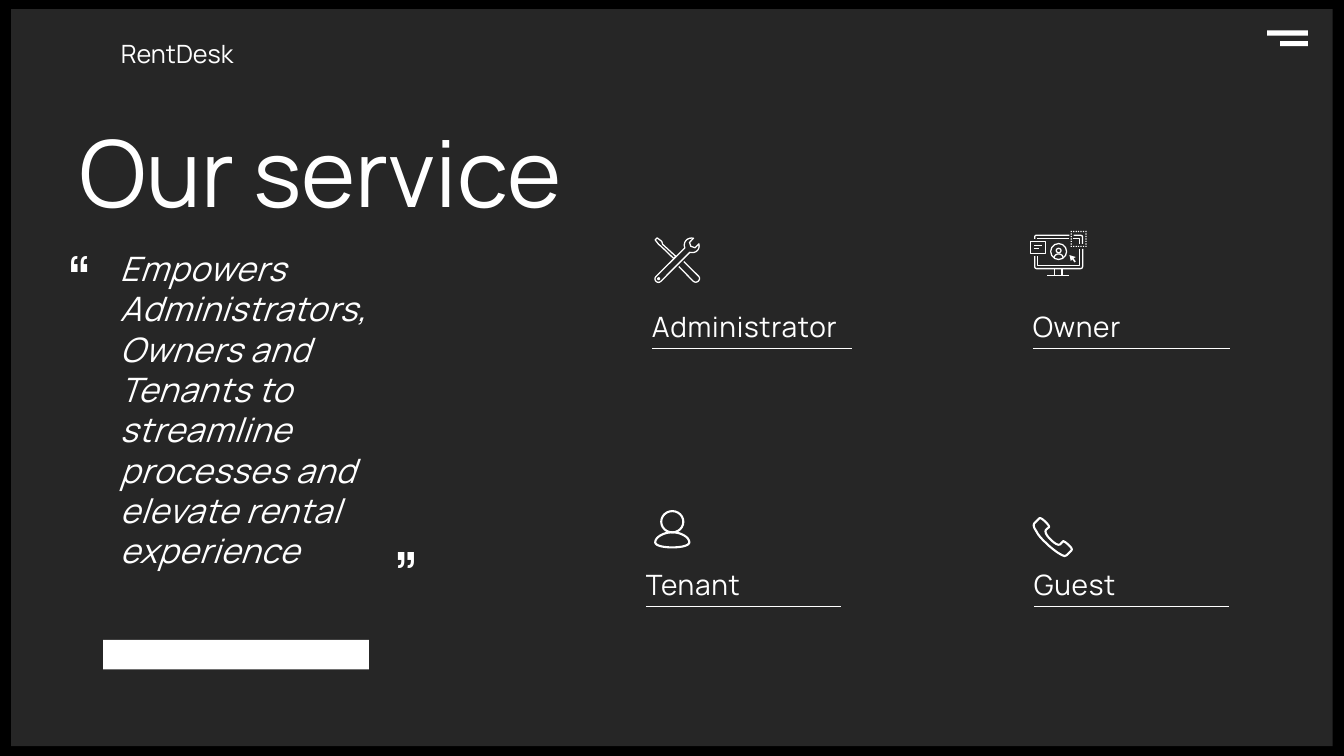
from dataclasses import dataclass

from lxml.etree import SubElement
from pptx import Presentation
from pptx.dml.color import RGBColor
from pptx.enum.shapes import MSO_CONNECTOR, MSO_SHAPE
from pptx.enum.text import MSO_ANCHOR, MSO_AUTO_SIZE, PP_ALIGN
from pptx.oxml.ns import qn
from pptx.util import Pt


@dataclass(frozen=True)
class Theme:
    font: str = "Manrope"
    black: RGBColor = RGBColor(0x00, 0x00, 0x00)
    panel: RGBColor = RGBColor(0x26, 0x26, 0x26)
    white: RGBColor = RGBColor(0xFF, 0xFF, 0xFF)
    title: int = 66
    quote_mark: int = 54
    quote: int = 24
    role: int = 20
    brand: int = 18
    thin: float = 0.5
    fine: float = 0.9
    bold: float = 1.5


theme = Theme()
RECT, OVAL = MSO_SHAPE.RECTANGLE, MSO_SHAPE.OVAL

presentation = Presentation()
presentation.slide_width, presentation.slide_height = Pt(960), Pt(540)
slide = presentation.slides.add_slide(presentation.slide_layouts[5])
slide.background.fill.solid()
slide.background.fill.fore_color.rgb = theme.black
shapes = slide.shapes


def write_text(shape, box, text, size, wrap=True, italic=False, spacing=0):
    """Place a text shape and fill it with one white run; spacing is in points."""
    shape.left, shape.top, shape.width, shape.height = map(Pt, box)
    frame = shape.text_frame
    frame.word_wrap = wrap
    frame.auto_size = MSO_AUTO_SIZE.SHAPE_TO_FIT_TEXT
    frame.vertical_anchor = MSO_ANCHOR.TOP
    paragraph = frame.paragraphs[0]
    paragraph.alignment = PP_ALIGN.LEFT
    run = paragraph.add_run()
    run.text = text
    run.font.name, run.font.size = theme.font, Pt(size)
    run.font.color.rgb = theme.white
    if italic:
        run.font.italic = True
    if spacing:
        run._r.get_or_add_rPr().set("spc", str(round(spacing * 100)))
    return paragraph


def draw_outline(start, steps, width, closed=False, filled=False):
    """Draw a white outline; a step is (x, y) or a cubic curve (x1, y1, x2, y2, x, y)."""
    points = [start]
    for step in steps:
        if len(step) == 2:
            points.append(step)
            continue
        origin = points[-1]
        for t in (n / 8 for n in range(1, 9)):
            points.append(tuple(
                (1 - t) ** 3 * origin[axis] + 3 * t * (1 - t) ** 2 * step[axis]
                + 3 * t ** 2 * (1 - t) * step[axis + 2] + t ** 3 * step[axis + 4]
                for axis in (0, 1)))
    builder = shapes.build_freeform(Pt(start[0]), Pt(start[1]))
    builder.add_line_segments([(Pt(x), Pt(y)) for x, y in points[1:]], close=closed)
    shape = builder.convert_to_shape()
    shape.shadow.inherit = False
    if filled:
        shape.fill.solid()
        shape.fill.fore_color.rgb = theme.white
        shape.line.fill.background()
    else:
        shape.fill.background()
        shape.line.color.rgb = theme.white
        shape.line.width = Pt(width)


# Filled blocks: panel, menu bars, accent bar, screwdriver hole, dotted square
blocks = [
    (RECT, (8, 6.5, 944, 526.5), theme.panel),
    (RECT, (905.2, 21.7, 29, 3.7), theme.white),
    (RECT, (914.4, 29.3, 19.8, 3.7), theme.white),
    (RECT, (73.6, 457, 190, 21.2), theme.white),
    (OVAL, (469.4, 198, 2.2, 2.2), theme.white),
]
blocks += [
    (RECT, (764.7 + 1.78 * column, 164.9 + 1.78 * row, 0.9, 0.9), theme.white)
    for row in range(7) for column in range(7)
    if row in (0, 6) or column in (0, 6)
]
for kind, box, color in blocks:
    shape = shapes.add_shape(kind, *map(Pt, box))
    shape.shadow.inherit = False
    shape.fill.solid()
    shape.fill.fore_color.rgb = color
    shape.line.fill.background()

# Outlined presets: monitor card, avatar ring and head, tenant head
for kind, box, width in [
    (RECT, (736.2, 172.4, 10.8, 8.7), theme.fine),
    (OVAL, (750.5, 174, 11.4, 11.4), theme.fine),
    (OVAL, (754.5, 177.4, 3.4, 3.2), theme.fine),
    (OVAL, (472.3, 365.1, 15.8, 15.2), theme.bold),
]:
    shape = shapes.add_shape(kind, *map(Pt, box))
    shape.shadow.inherit = False
    shape.fill.background()
    shape.line.color.rgb = theme.white
    shape.line.width = Pt(width)

# Administrator: wrench, screwdriver shaft and handle
draw_outline((494.6, 180.4), [
    (497.5, 180.4, 499.4, 178.3, 499.4, 175.7), (499.2, 174.2), (496.5, 177),
    (493.5, 176), (492.5, 173.2), (495.4, 170.2),
    (491, 169.2, 487.6, 173, 489.2, 177.1), (468.4, 197.7),
    (466.5, 200, 469.8, 203.2, 472, 201), (492.7, 180.3)], theme.fine, closed=True)
draw_outline((468, 171.4), [
    (469.4, 169.9), (472.7, 172.4), (473.4, 174.6), (482.8, 183.2), (481.3, 184.7),
    (472.3, 176), (470.5, 174.6)], theme.fine, closed=True)
draw_outline((488.5, 186.8), [
    (499.3, 197.6), (501, 200, 497.5, 203, 495.2, 200.9), (484.9, 190.4)], theme.fine)

# Owner: monitor frame, corner strokes, avatar shoulders and cursor
for start, steps in [
    ((739.1, 170.6), [(739.1, 169.2), (739.1, 168.6, 739.6, 168.1, 740.2, 168.1),
                      (763.9, 168.1)]),
    ((766.8, 168.1), [(771.8, 168.1), (772.6, 168.1, 773.3, 168.6, 773.3, 169.4),
                      (773.3, 174.2)]),
    ((739.1, 182.9), [(739.1, 190.4), (739.1, 191.2, 739.6, 191.9, 740.4, 191.9),
                      (771.8, 191.9), (772.6, 191.9, 773.3, 191.2, 773.3, 190.4),
                      (773.3, 177.8)]),
    ((741.2, 182.9), [(741.2, 189.7), (771.1, 189.7), (771.1, 177.8)]),
    ((766.8, 170.3), [(771.1, 170.3), (771.1, 174.2)]),
    ((753, 184.3), [(753, 180.4, 759.4, 180.4, 759.4, 184.3)]),
]:
    draw_outline(start, steps, theme.fine)
draw_outline((763.9, 182.2), [
    (768.4, 183.6), (766.8, 184.5), (768.4, 186.8), (767.5, 187.4), (765.8, 185.2),
    (764.9, 186.6)], theme.fine, closed=True, filled=True)

# Tenant: shoulders
draw_outline((480.2, 380.2), [
    (473.8, 380.2, 468, 383.8, 468, 387.4), (468, 389.5, 473, 391, 480.2, 391),
    (487.4, 391, 492.4, 389.5, 492.4, 387.4),
    (492.4, 383.8, 486.6, 380.2, 480.2, 380.2)], theme.bold, closed=True)

# Guest: telephone handset
draw_outline((742.6, 370.1), [
    (738.7, 374), (738, 375.5, 738.6, 377, 740.2, 379.4),
    (742, 383, 744.6, 385.4, 747.4, 388.1), (753, 393.5, 758.5, 397, 760.5, 397.2),
    (761.8, 396.7), (765.4, 393.1), (766, 392, 765, 391, 763.2, 389.2),
    (761.5, 387.6, 760, 386.6, 759.4, 386.6), (757.4, 388.8),
    (756, 390, 753, 388, 750.2, 385.2), (747.4, 382.4, 745.9, 379.6, 747.4, 378.2),
    (749.3, 376.6), (749.5, 375.5, 748, 374, 746.6, 372.6),
    (745, 371, 743.4, 370, 742.6, 370.1)], theme.bold, closed=True)

# Straight strokes: role underlines, then monitor details
roles = [
    ("Administrator", 458.6, 217.2, 179.3, 142.8),
    ("Owner", 730.6, 217.2, 114.5, 140.6),
    ("Tenant", 454.2, 401.9, 114.5, 139),
    ("Guest", 731.4, 401.9, 114.5, 139.4),
]
strokes = [(left + 7.2, top + 31.3, left + 7.2 + length, top + 31.3, theme.thin)
           for name, left, top, width, length in roles]
strokes += [
    (740.9, 170.3, 763.9, 170.3, theme.fine),
    (738.7, 175.3, 744.5, 175.3, theme.fine),
    (738.7, 177.5, 742.3, 177.5, theme.fine),
    (753.5, 192, 753.5, 196.9, theme.fine),
    (758.5, 192, 758.5, 196.9, theme.fine),
    (748.1, 196.9, 763.9, 196.9, theme.fine),
]
for *ends, width in strokes:
    line = shapes.add_connector(MSO_CONNECTOR.STRAIGHT, *map(Pt, ends))
    line.line.color.rgb = theme.white
    line.line.width = Pt(width)
    SubElement(line._element.spPr, qn("a:effectLst"))

# Text
title = shapes.title
shapes[-1]._element.addnext(title._element)
paragraph = write_text(title, (49.7, 93.6, 399.6, 74.2), "Our service", theme.title, wrap=False)
paragraph.line_spacing = 0.8

for name, left, top, width, length in roles:
    write_text(shapes.add_textbox(0, 0, 0, 0), (left, top, width, 31.5), name,
               theme.role, spacing=0.5)

write_text(shapes.add_textbox(0, 0, 0, 0), (79.2, 23.8, 136.8, 29), "RentDesk", theme.brand)
write_text(shapes.add_textbox(0, 0, 0, 0), (78.5, 173.5, 231.8, 279.4),
           "Empowers Administrators, Owners and Tenants to streamline processes "
           "and elevate rental experience", theme.quote, italic=True, spacing=0.5)
for left, top, rotation in [(39.6, 164.9, 0), (272.2, 351.4, 180)]:
    mark = shapes.add_textbox(0, 0, 0, 0)
    write_text(mark, (left, top, 35.3, 72.7), "“", theme.quote_mark, wrap=False)
    mark.rotation = rotation

presentation.save("out.pptx")
